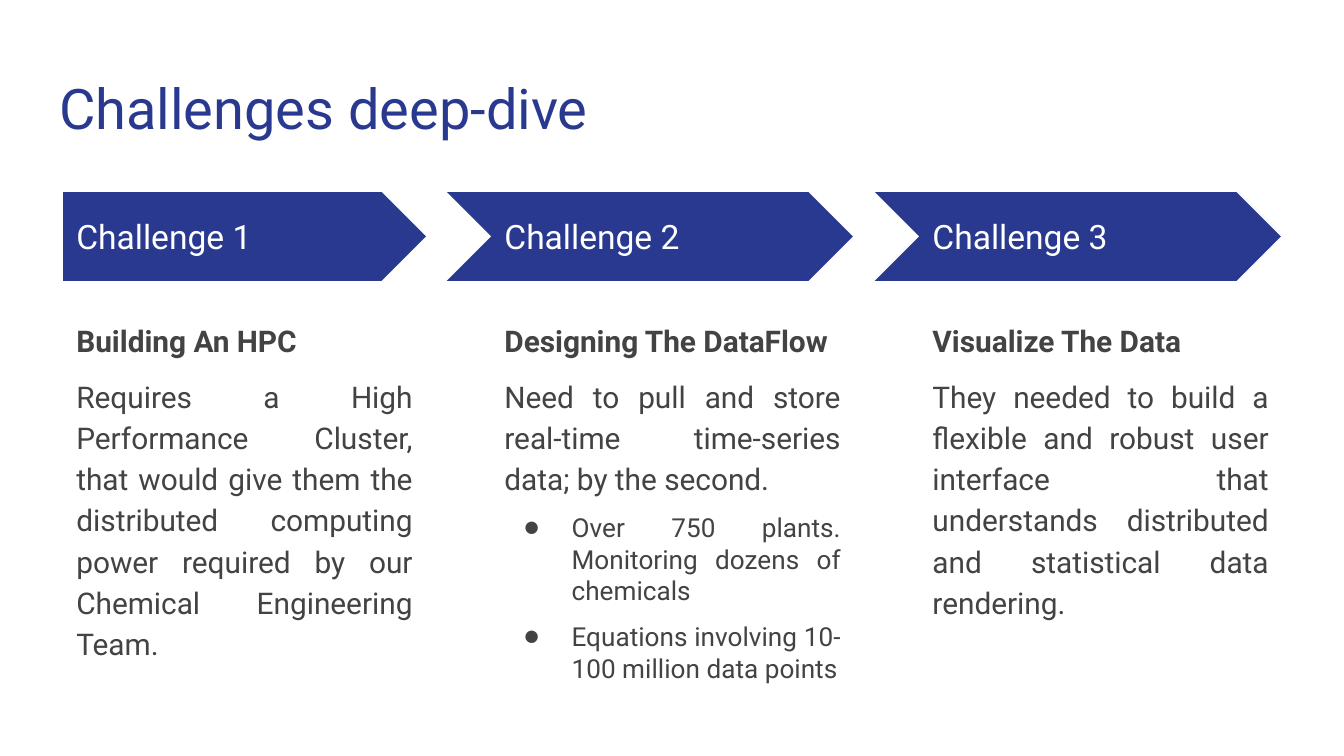
from lxml import etree
from pptx import Presentation
from pptx.dml.color import RGBColor
from pptx.enum.shapes import MSO_SHAPE
from pptx.enum.text import MSO_ANCHOR, MSO_AUTO_SIZE, PP_ALIGN
from pptx.oxml.ns import qn
from pptx.util import Inches, Pt

PLATE, CHEVRON = MSO_SHAPE.PENTAGON, MSO_SHAPE.CHEVRON
TOP, MIDDLE = MSO_ANCHOR.TOP, MSO_ANCHOR.MIDDLE
LEFT, JUSTIFY = PP_ALIGN.LEFT, PP_ALIGN.JUSTIFY
FIXED = MSO_AUTO_SIZE.NONE

FONT = "Roboto"
COLORS = {"navy": "2A3990", "white": "FFFFFF", "gray": "434343"}

START, END = 0.47, 6.84
WIDTH, NOTCH = 2.7, 0.33

STEPS = [
    ("Challenge 1", "Building An HPC",
     "Requires a High Performance Cluster, that would give them the "
     "distributed computing power required by our Chemical Engineering Team.",
     []),
    ("Challenge 2", "Designing The DataFlow",
     "Need to pull and store real-time time-series data; by the second.",
     ["Over 750 plants. Monitoring dozens of chemicals",
      "Equations involving 10-100 million data points"]),
    ("Challenge 3", "Visualize The Data",
     "They needed to build a flexible and robust user interface that "
     "understands distributed and statistical data rendering.",
     []),
]


def color(name):
    return RGBColor.from_string(COLORS[name])


def set_frame(frame, anchor):
    frame.word_wrap = True
    frame.auto_size = FIXED
    frame.vertical_anchor = anchor
    frame.margin_left = frame.margin_right = Inches(0.1)
    frame.margin_top = frame.margin_bottom = Inches(0.1)


def add_run(para, text, size, hue, bold=False):
    run = para.add_run()
    run.text = text
    font = run.font
    font.name, font.size, font.bold = FONT, Pt(size), bold
    font.color.rgb = color(hue)


def add_box(slide, x, y, w, h, anchor):
    box = slide.shapes.add_textbox(Inches(x), Inches(y), Inches(w), Inches(h))
    set_frame(box.text_frame, anchor)
    return box.text_frame


def add_bullet(para):
    props = para._p.get_or_add_pPr()
    props.set("marL", str(Inches(0.5)))
    props.set("indent", str(Inches(-0.35)))
    tint = etree.SubElement(props, qn("a:buClr"))
    etree.SubElement(tint, qn("a:srgbClr"), val=COLORS["gray"])
    etree.SubElement(props, qn("a:buSzPct"), val="62000")
    etree.SubElement(props, qn("a:buFont"), typeface=FONT)
    etree.SubElement(props, qn("a:buChar"), char="●")


def add_title(slide, x, y, w, h):
    title = slide.shapes.title
    title.left, title.top = Inches(x), Inches(y)
    title.width, title.height = Inches(w), Inches(h)
    set_frame(title.text_frame, TOP)
    para = title.text_frame.paragraphs[0]
    para.alignment = LEFT
    add_run(para, "Challenges deep-dive", 30, "navy")


def add_arrow(slide, x, y, label, first):
    kind, notch, width = (PLATE, 0, WIDTH) if first else (CHEVRON, NOTCH, 3.02)
    arrow = slide.shapes.add_shape(
        kind, Inches(x - notch), Inches(y), Inches(width), Inches(0.66))
    arrow.adjustments[0] = 0.5
    arrow.shadow.inherit = False
    arrow.fill.solid()
    arrow.fill.fore_color.rgb = color("navy")
    arrow.line.fill.background()
    frame = add_box(slide, x, y + 0.16, 2.47, 0.34, MIDDLE)
    add_run(frame.paragraphs[0], label, 18, "white")


def add_detail(slide, x, y, head, body, points):
    frame = add_box(slide, x, y, WIDTH, 2.9, TOP)
    para = frame.paragraphs[0]
    para.alignment, para.line_spacing = JUSTIFY, 1.15
    add_run(para, head, 16, "gray", True)
    para = frame.add_paragraph()
    para.alignment, para.line_spacing = JUSTIFY, 1.15
    para.space_before = Pt(8)
    add_run(para, body, 16, "gray")
    for point in points:
        para = frame.add_paragraph()
        para.alignment, para.space_before = JUSTIFY, Pt(8)
        add_bullet(para)
        add_run(para, point, 14, "gray")


def add_step(slide, x, y, step, first):
    label, head, body, points = step
    add_arrow(slide, x, y, label, first)
    add_detail(slide, x, y + 0.83, head, body, points)


def build():
    deck = Presentation()
    deck.slide_width = Inches(10)
    deck.slide_height = deck.slide_width * 9 // 16
    slide = deck.slides.add_slide(deck.slide_layouts[5])
    slide.background.fill.solid()
    slide.background.fill.fore_color.rgb = color("white")
    add_title(slide, 0.34, 0.45, 9.32, 0.66)
    pitch = (END - START) / (len(STEPS) - 1)
    for i, step in enumerate(STEPS):
        add_step(slide, START + i * pitch, 1.43, step, i == 0)
    deck.save("out.pptx")


build()
